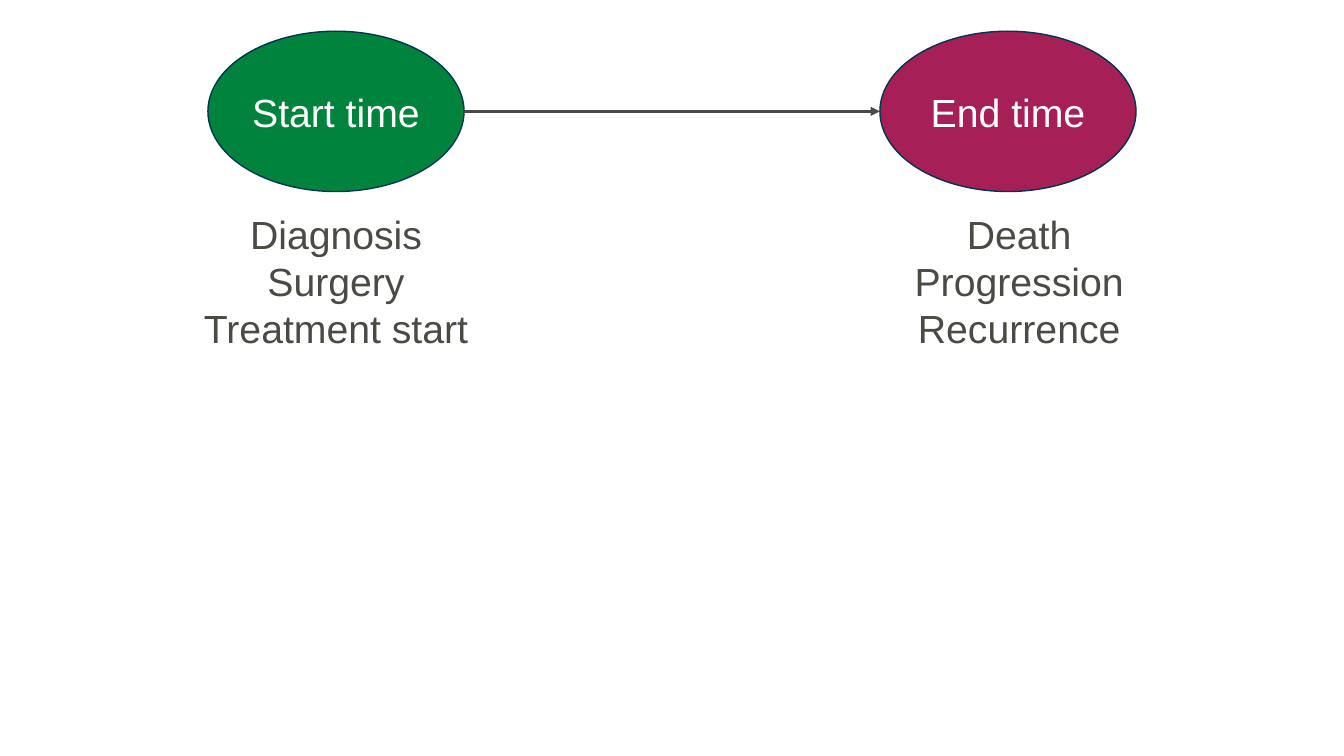
from lxml import etree
from pptx import Presentation, util as u
from pptx.dml.color import RGBColor
from pptx.enum import shapes, text
from pptx.oxml import ns

GREEN = RGBColor(0x00, 0x84, 0x3D)
BERRY = RGBColor(0xA6, 0x1F, 0x56)
NAVY = RGBColor(0x00, 0x35, 0x54)
GREY = RGBColor(0x4B, 0x4B, 0x45)
WHITE = RGBColor(0xFF, 0xFF, 0xFF)

deck = Presentation()
deck.slide_width = u.Inches(13.33)
deck.slide_height = u.Inches(7.5)
page = deck.slides.add_slide(deck.slide_layouts[6])

column = deck.slide_width // 4
oval_width, oval_height = u.Inches(2.54), u.Inches(1.59)
oval_top = u.Inches(0.31)
list_top, list_height = u.Inches(2.04), u.Inches(1.51)


def write_lines(frame, lines, color):
    frame.word_wrap = False
    for index, line in enumerate(lines):
        para = frame.paragraphs[0] if index == 0 else frame.add_paragraph()
        para.alignment = text.PP_ALIGN.CENTER
        span = para.add_run()
        span.text = line
        span.font.name = "Arial"
        span.font.size = u.Pt(28)
        span.font.color.rgb = color


events = [
    ("Start time", GREEN, column, ["Diagnosis", "Surgery", "Treatment start"], 2.9, 0),
    ("End time", BERRY, 3 * column, ["Death", "Progression", "Recurrence"], 2.32, 0.11),
]
ovals = []
for label, fill, center, examples, list_width, list_shift in events:
    oval = page.shapes.add_shape(
        shapes.MSO_SHAPE.OVAL, center - oval_width // 2, oval_top, oval_width, oval_height
    )
    oval.shadow.inherit = False
    oval.fill.solid()
    oval.fill.fore_color.rgb = fill
    oval.line.color.rgb = NAVY
    oval.line.width = u.Pt(1)
    oval.text_frame.vertical_anchor = text.MSO_ANCHOR.MIDDLE
    write_lines(oval.text_frame, [label], WHITE)
    ovals.append(oval)

    width = u.Inches(list_width)
    left = center + u.Inches(list_shift) - width // 2
    box = page.shapes.add_textbox(left, list_top, width, list_height)
    write_lines(box.text_frame, examples, GREY)

start, end = ovals
middle = oval_top + oval_height // 2
arrow = page.shapes.add_connector(
    shapes.MSO_CONNECTOR.STRAIGHT, start.left + start.width, middle, end.left, middle
)
arrow.line.color.rgb = GREY
arrow.line.width = u.Pt(2.25)
outline = arrow.element.spPr.find(ns.qn("a:ln"))
etree.SubElement(outline, ns.qn("a:tailEnd"), type="triangle")
etree.SubElement(arrow.element.spPr, ns.qn("a:effectLst"))

deck.save("out.pptx")
